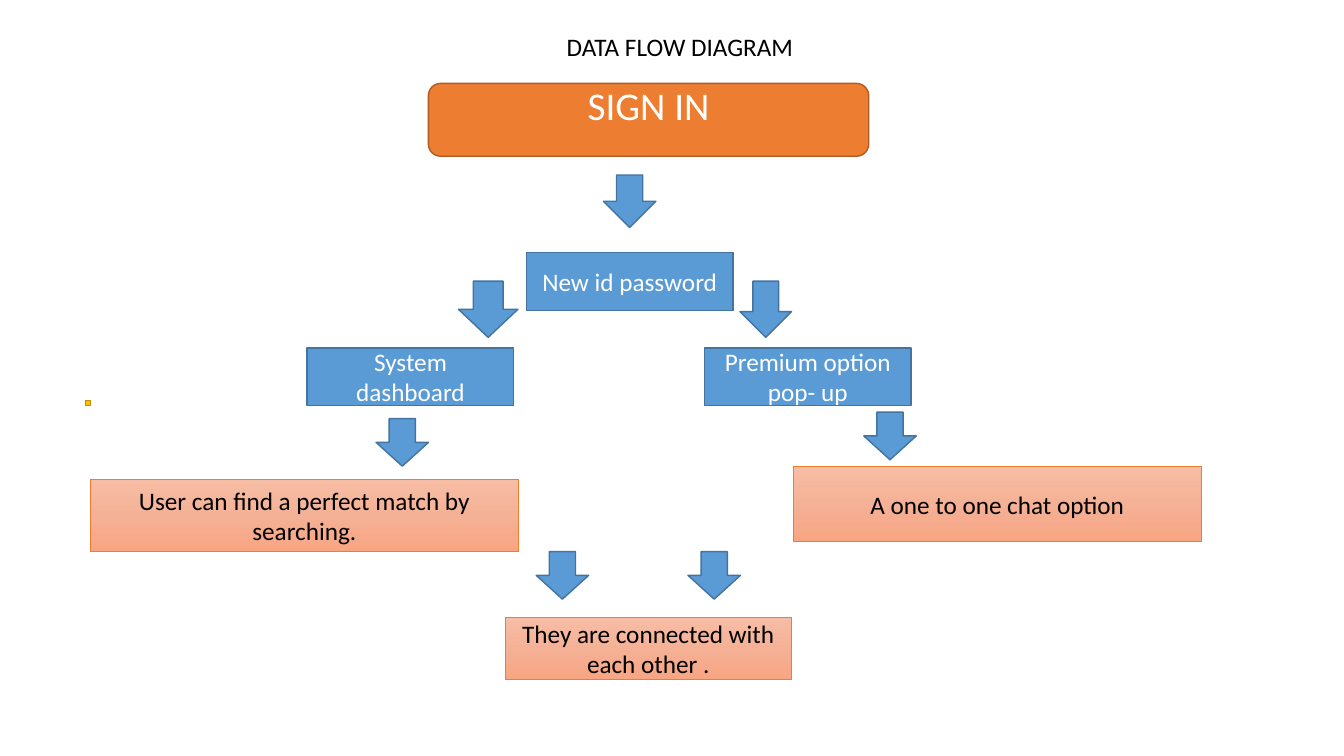
"""Build the data flow diagram slide."""
from copy import deepcopy
from dataclasses import dataclass

from pptx import Presentation
from pptx.dml.color import RGBColor
from pptx.enum.shapes import MSO_SHAPE as Preset
from pptx.enum.text import MSO_ANCHOR as Anchor, MSO_AUTO_SIZE as AutoSize, PP_ALIGN as Align
from pptx.oxml.ns import qn
from pptx.util import Pt

COLOURS = {
    "black": "000000", "white": "FFFFFF",
    "orange": "ED7D31", "orange_edge": "AF5C24",
    "blue": "5B9BD5", "blue_edge": "43739E",
    "gold": "FFC000", "gold_edge": "BD8E00",
    "peach_top": "F7BDA5", "peach_middle": "F5B196", "peach_bottom": "F8A582",
}


@dataclass(frozen=True)
class Style:
    fills: tuple
    edge: str
    edge_width: float = 1
    ink: str = "white"


@dataclass(frozen=True)
class Node:
    left: float
    top: float
    width: float
    height: float
    style: Style
    text: str = ""
    preset: Preset = Preset.FLOWCHART_PROCESS
    size: float = 18
    bottom_inset: float = 3.6


START = Style(("orange",), "orange_edge")
STEP = Style(("blue",), "blue_edge")
MARK = Style(("gold",), "gold_edge")
RESULT = Style(("peach_top", "peach_middle", "peach_bottom"), "orange", 0.5, "black")

STEP_SIZE = (147.6, 41.2)
ARROW_SIZE = (37.5, 34)

BOXES = (
    Node(306, 59.6, 314.5, 52, START, "SIGN IN",
         Preset.FLOWCHART_ALTERNATE_PROCESS, 28, 25.2),
    Node(376, 180.5, *STEP_SIZE, STEP, "New id password"),
    Node(219.4, 248.5, *STEP_SIZE, STEP, "System dashboard"),
    Node(503.2, 248.5, *STEP_SIZE, STEP, "Premium option pop- up"),
    Node(61, 286, 3.6, 3.6, MARK),
    Node(64.5, 342.2, 305.8, 51.8, RESULT, "User can find a perfect match by searching."),
    Node(360.8, 441.2, 204.6, 44.4, RESULT, "They are connected with each other ."),
    Node(566.6, 333.2, 291.6, 53.6, RESULT, "A one to one chat option"),
)
ARROWS = tuple(Node(*place, STEP, preset=Preset.DOWN_ARROW) for place in (
    (431, 125, 37.5, 37.5),
    (327.4, 200.8, 42.6, 40.2),
    (528.6, 200.8, 36.8, 40.2),
    (268.6, 299, *ARROW_SIZE),
    (617, 294.4, *ARROW_SIZE),
    (383, 394, *ARROW_SIZE),
    (491.4, 394, *ARROW_SIZE),
))


def colour(name: str) -> RGBColor:
    """Return the named palette colour."""
    return RGBColor.from_string(COLOURS[name])


def write(frame, text: str, size: float, ink: str, align: Align) -> None:
    """Set and format one paragraph of text."""
    frame.text = text
    para = frame.paragraphs[0]
    para.alignment = align
    for span in para.runs:
        span.font.name = "Calibri"
        span.font.size = Pt(size)
        span.font.color.rgb = colour(ink)


def paint(box, style: Style) -> None:
    """Apply the fill and outline of a style."""
    fill = box.fill
    if len(style.fills) == 1:
        fill.solid()
        fill.fore_color.rgb = colour(style.fills[0])
    else:
        fill.gradient()
        fill.gradient_angle = 270
        first = next(box._element.iter(qn("a:gs")))
        first.addnext(deepcopy(first))
        for index, (stop, name) in enumerate(zip(fill.gradient_stops, style.fills)):
            stop.position = index / (len(style.fills) - 1)
            stop.color.rgb = colour(name)
    box.line.color.rgb = colour(style.edge)
    box.line.width = Pt(style.edge_width)
    box.shadow.inherit = False


def draw(page, node: Node) -> None:
    """Add a node to the page."""
    box = page.shapes.add_shape(
        node.preset, Pt(node.left), Pt(node.top), Pt(node.width), Pt(node.height))
    paint(box, node.style)
    if node.text:
        frame = box.text_frame
        frame.word_wrap = True
        frame.vertical_anchor = Anchor.MIDDLE
        frame.margin_bottom = Pt(node.bottom_inset)
        write(frame, node.text, node.size, node.style.ink, Align.CENTER)


def add_title(page) -> None:
    """Place and format the slide title."""
    title = page.shapes.title
    title.left, title.top, title.width, title.height = Pt(397.6), Pt(18.7), Pt(364), Pt(28.8)
    frame = title.text_frame
    frame.auto_size = AutoSize.NONE
    frame.vertical_anchor = Anchor.TOP
    write(frame, "DATA FLOW DIAGRAM", 18, "black", Align.LEFT)


def main() -> None:
    """Build and save the deck."""
    deck = Presentation()
    deck.slide_width, deck.slide_height = Pt(960), Pt(540)
    page = deck.slides.add_slide(deck.slide_layouts[5])
    add_title(page)
    for node in BOXES + ARROWS:
        draw(page, node)
    deck.save("out.pptx")


if __name__ == "__main__":
    main()
